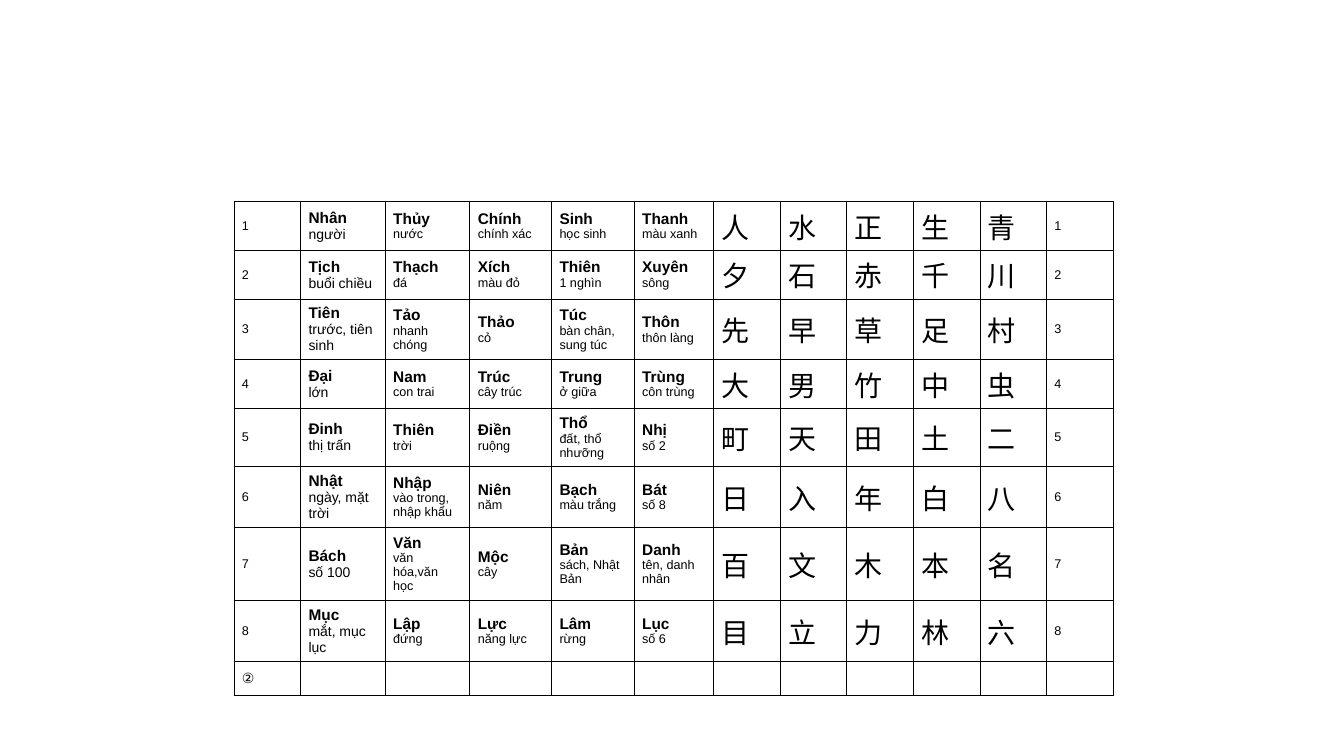
import copy

import pptx
import pptx.dml.color
import pptx.enum.text
import pptx.oxml
import pptx.oxml.ns
import pptx.util
from pptx.util import Inches

COLORS = {"ink": "000000"}
FORMATS = {
    "number": {"size": 9, "name": "Arial", "bold": False},
    "reading": {"size": 11, "name": "Arial", "bold": True},
    "first meaning": {"size": 10, "name": "Arial", "bold": False},
    "meaning": {"size": 9, "name": "Arial", "bold": False},
    "kanji": {"size": 20, "name": "Roboto", "bold": False},
    "page mark": {"size": 10, "name": "Roboto", "bold": False},
}
CELL_FORMAT = {
    "margin_left": Inches(0.08),
    "margin_right": Inches(0.08),
    "margin_top": Inches(0.04),
    "margin_bottom": Inches(0.04),
    "vertical_anchor": pptx.enum.text.MSO_ANCHOR.MIDDLE,
}
COLUMN_WIDTHS = [0.66, 0.84, 0.84, 0.81, 0.82, 0.79] + [0.66] * 6
ROW_HEIGHTS = [0.44, 0.44, 0.6, 0.44, 0.58, 0.6, 0.73, 0.6, 0.34]

# Each entry is "reading: meaning"; the kanji follow in the same order.
LESSON = [
    (["Nhân: người", "Thủy: nước", "Chính: chính xác", "Sinh: học sinh",
      "Thanh: màu xanh"], "人水正生青"),
    (["Tịch: buổi chiều", "Thạch: đá", "Xích: màu đỏ", "Thiên: 1 nghìn",
      "Xuyên: sông"], "夕石赤千川"),
    (["Tiên: trước, tiên\nsinh", "Tảo: nhanh\nchóng", "Thảo: cỏ",
      "Túc: bàn chân,\nsung túc", "Thôn: thôn làng"], "先早草足村"),
    (["Đại: lớn", "Nam: con trai", "Trúc: cây trúc", "Trung: ở giữa",
      "Trùng: côn trùng"], "大男竹中虫"),
    (["Đinh: thị trấn", "Thiên: trời", "Điền: ruộng", "Thổ: đất, thổ\nnhưỡng",
      "Nhị: số 2"], "町天田土二"),
    (["Nhật: ngày, mặt\ntrời", "Nhập: vào trong,\nnhập khẩu", "Niên: năm",
      "Bạch: màu trắng", "Bát: số 8"], "日入年白八"),
    (["Bách: số 100", "Văn: văn hóa,văn\nhọc", "Mộc: cây",
      "Bản: sách, Nhật\nBản", "Danh: tên, danh\nnhân"], "百文木本名"),
    (["Mục: mắt, mục\nlục", "Lập: đứng", "Lực: năng lực", "Lâm: rừng",
      "Lục: số 6"], "目立力林六"),
]


class KanjiSlide:
    def __init__(self, slide):
        self.slide = slide

    def grid(self, left, top, widths, heights):
        """Add an empty ruled table and return it."""
        frame = self.slide.shapes.add_table(
            len(heights), len(widths), Inches(left), Inches(top),
            Inches(sum(widths)), Inches(sum(heights)))
        table = frame.table
        table.first_row = table.horz_banding = False
        for column, width in zip(table.columns, widths):
            column.width = Inches(width)
        for row, height in zip(table.rows, heights):
            row.height = Inches(height)
        for cell in table.iter_cells():
            self.rule_cell(cell)
        return table

    def rule_cell(self, cell):
        for attribute, value in CELL_FORMAT.items():
            setattr(cell, attribute, value)
        properties = cell._tc.get_or_add_tcPr()
        for side in ("lnL", "lnR", "lnT", "lnB"):
            properties.append(pptx.oxml.parse_xml(
                f'<a:{side} {pptx.oxml.ns.nsdecls("a")} w="6350"><a:solidFill>'
                f'<a:srgbClr val="{COLORS["ink"]}"/></a:solidFill></a:{side}>'))
        cell.fill.background()

    def fill_cell(self, cell, *parts):
        """Set (text, format name) parts, each starting on its own line."""
        paragraph = cell.text_frame.paragraphs[0]
        lines = [(line, style) for text, style in parts for line in text.split("\n")]
        for index, (line, style) in enumerate(lines):
            if index:
                paragraph.add_line_break()
                paragraph._p[-1].append(copy.deepcopy(run._r.rPr))
            run = paragraph.add_run()
            run.text = line
            run.font.color.rgb = pptx.dml.color.RGBColor.from_string(COLORS["ink"])
            for attribute, value in FORMATS[style].items():
                setattr(run.font, attribute,
                        pptx.util.Pt(value) if attribute == "size" else value)

    def leave_empty(self, cell):
        """Keep the empty line low enough for the short last row."""
        cell.text_frame.paragraphs[0]._p.append(pptx.oxml.parse_xml(
            f'<a:endParaRPr {pptx.oxml.ns.nsdecls("a")} sz="1000"/>'))


def main():
    deck = pptx.Presentation()
    deck.slide_width, deck.slide_height = Inches(13.33), Inches(7.5)
    page = KanjiSlide(deck.slides.add_slide(deck.slide_layouts[6]))
    table = page.grid(2.32, 2, COLUMN_WIDTHS, ROW_HEIGHTS)

    for row, (entries, kanji) in enumerate(LESSON):
        for column in (0, len(COLUMN_WIDTHS) - 1):
            page.fill_cell(table.cell(row, column), (str(row + 1), "number"))
        for column, (entry, sign) in enumerate(zip(entries, kanji), start=1):
            reading, meaning = entry.split(": ")
            style = "first meaning" if column == 1 else "meaning"
            page.fill_cell(table.cell(row, column), (reading, "reading"), (meaning, style))
            page.fill_cell(table.cell(row, column + len(entries)), (sign, "kanji"))

    last_row = len(LESSON)
    page.fill_cell(table.cell(last_row, 0), ("②", "page mark"))
    for column in range(1, len(COLUMN_WIDTHS)):
        page.leave_empty(table.cell(last_row, column))
    deck.save("out.pptx")


if __name__ == "__main__":
    main()
